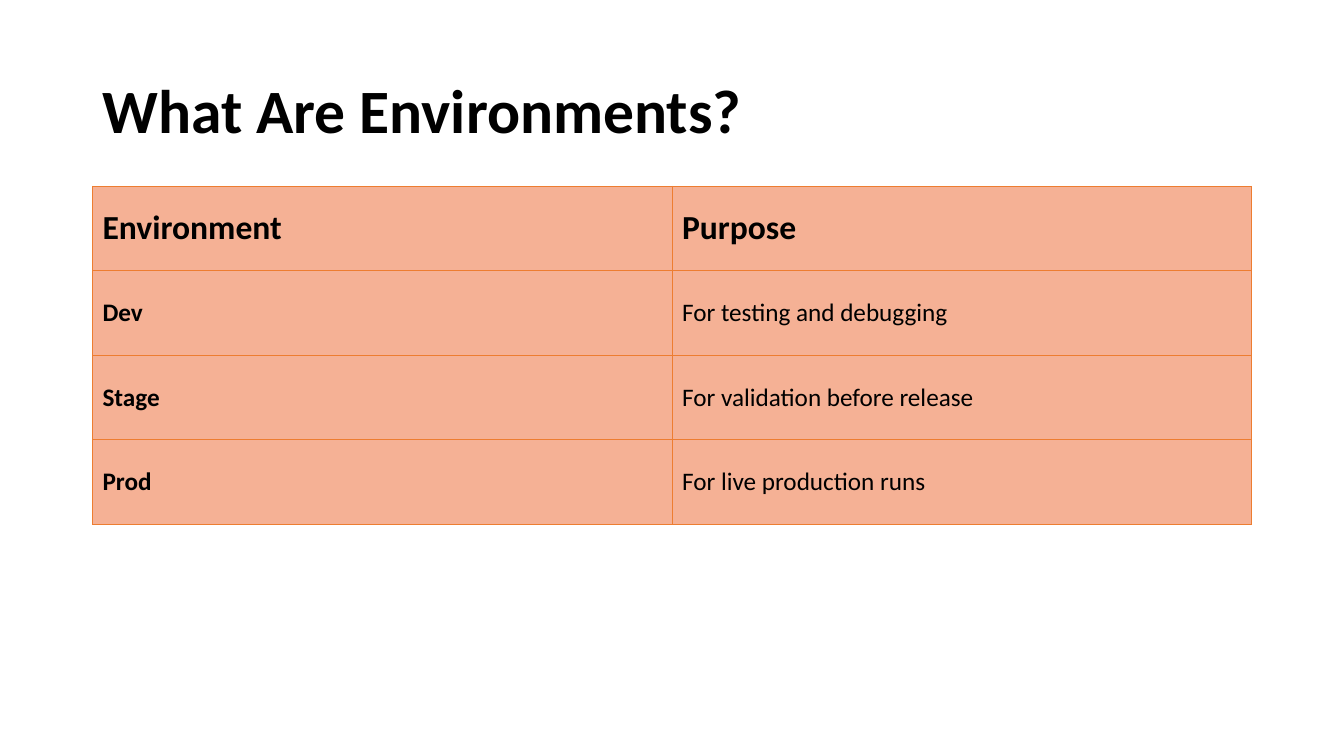
from lxml.etree import SubElement
from pptx import Presentation
from pptx.dml.color import RGBColor
from pptx.enum.text import MSO_ANCHOR
from pptx.oxml.ns import qn
from pptx.util import Cm, Pt

TITLE = "What Are Environments?"
ROWS = [
    ("Environment", "Purpose"),
    ("Dev", "For testing and debugging"),
    ("Stage", "For validation before release"),
    ("Prod", "For live production runs"),
]
COLORS = {"text": "000000", "fill": "F5B195", "border": "ED7D31"}
FONT = "Calibri"
LEFT, WIDTH = 2.33, 29.21
TITLE_TOP, TITLE_HEIGHT = 1.01, 3.68
TABLE_TOP, ROW_HEIGHT = TITLE_TOP + TITLE_HEIGHT, 2.13
BORDER_WIDTH = Pt(0.5)


def add_text(para, text, size, bold):
    span = para.add_run()
    span.text = text
    span.font.name = FONT
    span.font.size = Pt(size)
    span.font.bold = bold
    span.font.color.rgb = RGBColor.from_string(COLORS["text"])


def add_borders(cell):
    properties = cell._tc.get_or_add_tcPr()
    for position, side in enumerate(("a:lnL", "a:lnR", "a:lnT", "a:lnB")):
        line = properties.makeelement(qn(side), {"w": str(BORDER_WIDTH)})
        fill = SubElement(line, qn("a:solidFill"))
        SubElement(fill, qn("a:srgbClr"), val=COLORS["border"])
        properties.insert(position, line)


def add_title(page):
    box = page.shapes.add_textbox(Cm(LEFT), Cm(TITLE_TOP), Cm(WIDTH), Cm(TITLE_HEIGHT))
    frame = box.text_frame
    frame.word_wrap = True
    frame.vertical_anchor = MSO_ANCHOR.MIDDLE
    para = frame.paragraphs[0]
    para.line_spacing = 0.9
    add_text(para, TITLE, 44, True)


def add_environments(page):
    table = page.shapes.add_table(
        len(ROWS), len(ROWS[0]), Cm(LEFT), Cm(TABLE_TOP),
        Cm(WIDTH), Cm(ROW_HEIGHT * len(ROWS)),
    ).table
    table.horz_banding = False
    for row, values in enumerate(ROWS):
        for column, value in enumerate(values):
            cell = table.cell(row, column)
            cell.vertical_anchor = MSO_ANCHOR.MIDDLE
            cell.fill.solid()
            cell.fill.fore_color.rgb = RGBColor.from_string(COLORS["fill"])
            add_borders(cell)
            size = 24 if row == 0 else 18
            add_text(cell.text_frame.paragraphs[0], value, size, row == 0 or column == 0)


def main():
    deck = Presentation()
    deck.slide_width, deck.slide_height = Cm(33.87), Cm(19.05)
    page = deck.slides.add_slide(deck.slide_layouts[6])
    add_title(page)
    add_environments(page)
    deck.save("out.pptx")


if __name__ == "__main__":
    main()
